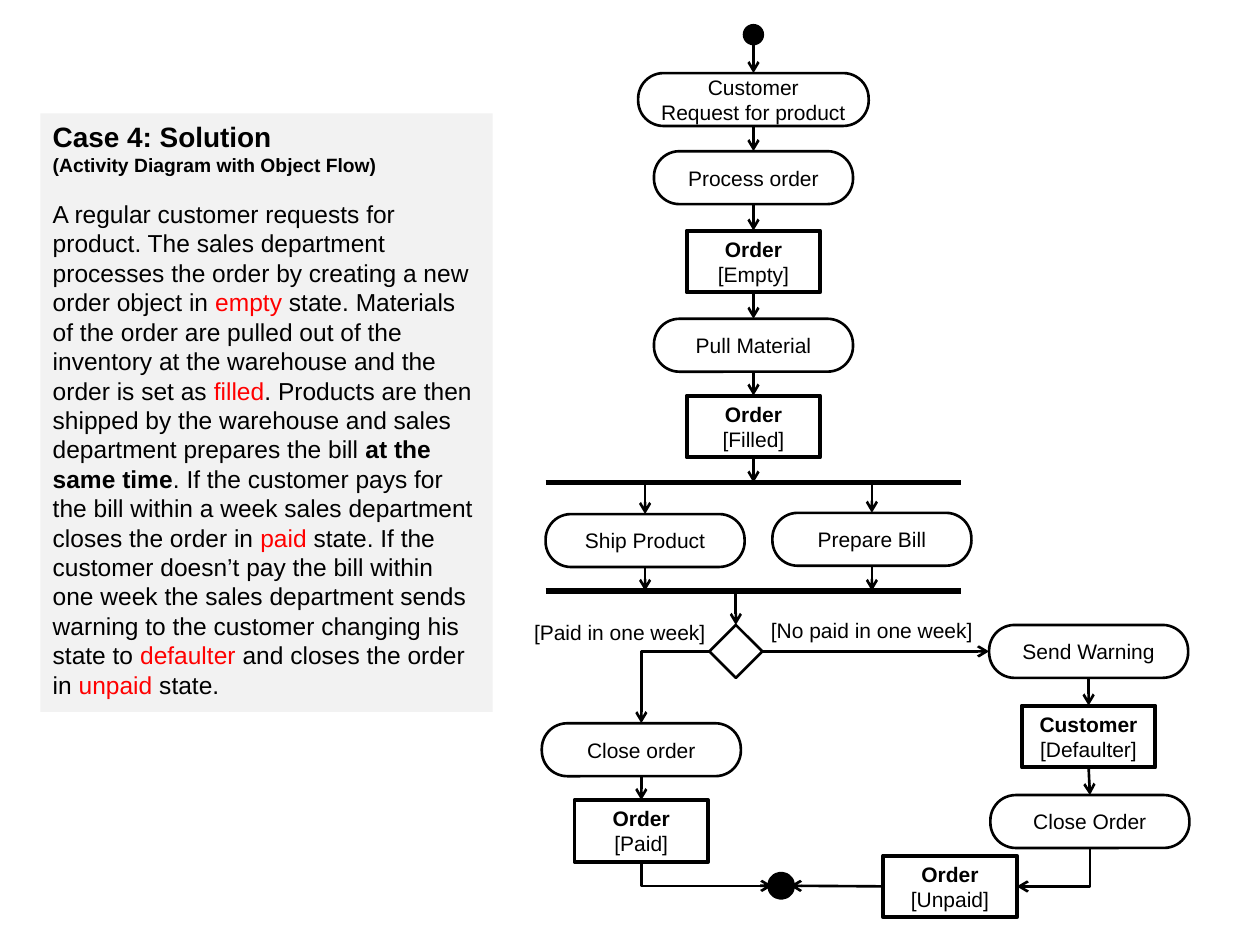
from dataclasses import dataclass

from lxml import etree
from pptx import Presentation
from pptx.dml.color import RGBColor
from pptx.enum.shapes import MSO_CONNECTOR as Link, MSO_SHAPE as Shape
from pptx.enum.text import MSO_ANCHOR as Anchor, MSO_AUTO_SIZE as AutoSize, PP_ALIGN as Align
from pptx.oxml.ns import qn
from pptx.util import Inches, Pt


@dataclass(frozen=True)
class Theme:
    font = "Arial"
    ink = RGBColor(0, 0, 0)
    state = RGBColor(0xFF, 0, 0)
    panel = RGBColor(0xF2, 0xF2, 0xF2)
    title = Pt(16)
    subtitle = Pt(11)
    body = Pt(14)
    label = Pt(12)
    thin = Pt(1.5)
    frame = Pt(2.25)
    bar = Pt(3)
    ring = Pt(6)


theme = Theme()
TOP, LEFT, BOTTOM, RIGHT = range(4)
MAIN_X, SHIP_X, BILL_X = 5.98, 5.12, 6.92
DECISION_X, PAID_X, WARNING_X = 5.84, 5.09, 8.64
FORK_Y, JOIN_Y, DECISION_Y, END_Y = 3.83, 4.69, 5.17, 7.03

prs = Presentation()
prs.slide_width, prs.slide_height = Inches(10), Inches(7.5)
slide = prs.slides.add_slide(prs.slide_layouts[6])
nodes = {}


def outline(kind, center_x, top, width, height, weight):
    """Add an unfilled shape centred on center_x."""
    shape = slide.shapes.add_shape(
        kind, Inches(center_x - width / 2), Inches(top), Inches(width), Inches(height))
    shape.shadow.inherit = False
    shape.fill.background()
    shape.line.color.rgb = theme.ink
    shape.line.width = weight
    return shape


def connect(begin, end, kind=Link.STRAIGHT, weight=theme.thin, arrow=True):
    """Join two ends, each a (node name, side) pair or an (x, y) point."""
    line = slide.shapes.add_connector(kind, 0, 0, 0, 0)
    if begin[0] in nodes:
        line.begin_connect(nodes[begin[0]], begin[1])
    else:
        line.begin_x, line.begin_y = map(Inches, begin)
    if end[0] in nodes:
        line.end_connect(nodes[end[0]], end[1])
    else:
        line.end_x, line.end_y = map(Inches, end)
    line.line.color.rgb = theme.ink
    line.line.width = weight
    if arrow:
        etree.SubElement(line.line._get_or_add_ln(), qn("a:tailEnd"), type="arrow")
    etree.SubElement(line._element.spPr, qn("a:effectLst"))
    return line


# Case description
case = slide.shapes.add_shape(
    Shape.RECTANGLE, Inches(0.32), Inches(0.9), Inches(3.59), Inches(4.75))
case.shadow.inherit = False
case.fill.solid()
case.fill.fore_color.rgb = theme.panel
case.line.fill.background()
case_text = case.text_frame
case_text.word_wrap = True
case_text.auto_size = AutoSize.SHAPE_TO_FIT_TEXT
case_text.vertical_anchor = Anchor.TOP
case_text.text = "Case 4: Solution\n(Activity Diagram with Object Flow)"
story = case_text.add_paragraph()
story.space_before = Pt(13)
for passage, emphasis in [
    ("A regular customer requests for product. The sales department processes the order "
     "by creating a new order object in ", None),
    ("empty", "state"),
    (" state. Materials of the order are pulled out of the inventory at the warehouse "
     "and the order is set as ", None),
    ("filled", "state"),
    (". Products are then shipped by the warehouse and sales department prepares the bill ", None),
    ("at the same time", "bold"),
    (". If the customer pays for the bill within a week sales department closes the order in ",
     None),
    ("paid", "state"),
    (" state. If the customer doesn’t pay the bill within one week the sales department sends "
     "warning to the customer changing his state to ", None),
    ("defaulter", "state"),
    (" and closes the order in ", None),
    ("unpaid", "state"),
    (" state.", None),
]:
    run = story.add_run()
    run.text = passage
    run.font.bold = emphasis == "bold"
    run.font.color.rgb = theme.state if emphasis == "state" else theme.ink
for paragraph, size in zip(case_text.paragraphs, (theme.title, theme.subtitle, theme.body)):
    paragraph.alignment = Align.LEFT
    for run in paragraph.runs:
        run.font.name, run.font.size = theme.font, size
        if paragraph.space_before is None:
            run.font.bold = True
            run.font.color.rgb = theme.ink

# Actions and object states
for name, text, center_x, top, width in [
    ("request", "Customer\nRequest for product", MAIN_X, 0.58, 1.83),
    ("process", "Process order", MAIN_X, 1.2, 1.58),
    ("pull", "Pull Material", MAIN_X, 2.53, 1.58),
    ("ship", "Ship Product", SHIP_X, 4.08, 1.58),
    ("bill", "Prepare Bill", BILL_X, 4.07, 1.58),
    ("close paid", "Close order", PAID_X, 5.74, 1.58),
    ("warn", "Send Warning", WARNING_X, 4.96, 1.58),
    ("close unpaid", "Close Order", 8.65, 6.31, 1.58),
]:
    nodes[name] = outline(Shape.ROUNDED_RECTANGLE, center_x, top, width, 0.42, theme.thin)
    nodes[name].adjustments[0] = 0.48
    nodes[name].text_frame.text = text

objects = [
    ("empty", "Order\n[Empty]", MAIN_X, 1.83),
    ("filled", "Order\n[Filled]", MAIN_X, 3.14),
    ("paid", "Order\n[Paid]", PAID_X, 6.35),
    ("defaulter", "Customer\n[Defaulter]", WARNING_X, 5.6),
    ("unpaid", "Order\n[Unpaid]", 7.54, 6.79),
]
for name, text, center_x, top in objects:
    nodes[name] = outline(Shape.RECTANGLE, center_x, top, 1.06, 0.49, theme.frame)
    nodes[name].text_frame.text = text

for node in nodes.values():
    node.text_frame.word_wrap = True
    node.text_frame.vertical_anchor = Anchor.MIDDLE
    for paragraph in node.text_frame.paragraphs:
        paragraph.alignment = Align.CENTER
        for run in paragraph.runs:
            run.font.name, run.font.size = theme.font, theme.label
            run.font.color.rgb = theme.ink
for name, *_ in objects:
    nodes[name].text_frame.paragraphs[0].runs[0].font.bold = True

# Start, decision and end
nodes["decision"] = outline(Shape.DIAMOND, DECISION_X, 4.96, 0.42, 0.42, theme.thin)
start = outline(Shape.OVAL, MAIN_X, 0.19, 0.17, 0.17, theme.thin)
start.line.fill.background()
finish = outline(Shape.OVAL, 6.2, 6.96, 0.14, 0.14, theme.ring)
for dot in (start, finish):
    dot.fill.solid()
    dot.fill.fore_color.rgb = theme.ink

for guard, left, top, width in [
    ("[Paid in one week]", 4.14, 4.87, 1.67),
    ("[No paid in one week]", 6.02, 4.85, 1.8),
]:
    condition = slide.shapes.add_textbox(Inches(left), Inches(top), Inches(width), Inches(0.3))
    condition.text_frame.word_wrap = True
    condition.text_frame.text = guard
    font = condition.text_frame.paragraphs[0].runs[0].font
    font.name, font.size, font.color.rgb = theme.font, theme.label, theme.ink

# Fork and join bars, then the flow
for bar_y in (FORK_Y, JOIN_Y):
    connect((4.33, bar_y), (7.63, bar_y), weight=theme.bar, arrow=False)

main_flow = ["request", "process", "empty", "pull", "filled"]
warning_flow = ["warn", "defaulter", "close unpaid"]
for flow in (main_flow, warning_flow, ["close paid", "paid"]):
    for source, target in zip(flow, flow[1:]):
        connect((source, BOTTOM), (target, TOP))
for name, center_x in (("ship", SHIP_X), ("bill", BILL_X)):
    connect((center_x, FORK_Y), (name, TOP))
    connect((name, BOTTOM), (center_x, JOIN_Y))
connect((MAIN_X, 0.35), ("request", TOP))
connect(("filled", BOTTOM), (MAIN_X, FORK_Y))
connect((DECISION_X, JOIN_Y), ("decision", TOP))
connect(("decision", RIGHT), ("warn", LEFT))
connect(("unpaid", LEFT), (6.27, END_Y))

# One-corner elbows: a quarter-turned one swaps width and height about its centre
for begin, end, degrees, flip in [
    (("decision", LEFT), ("close paid", TOP), 180, "flipV"),
    (("paid", BOTTOM), (6.13, END_Y), 270, "flipH"),
    (("close unpaid", BOTTOM), ("unpaid", RIGHT), 90, None),
]:
    elbow = connect(begin, end, Link.ELBOW)
    if degrees != 180:
        shift = (elbow.width - elbow.height) // 2
        elbow.left, elbow.top = elbow.left + shift, elbow.top - shift
        elbow.width, elbow.height = elbow.height, elbow.width
    xfrm = elbow._element.spPr.find(qn("a:xfrm"))
    for side in ("flipH", "flipV"):
        xfrm.attrib.pop(side, None)
    xfrm.set("rot", str(degrees * 60000))
    if flip:
        xfrm.set(flip, "1")
    elbow._element.spPr.find(qn("a:prstGeom")).set("prst", "bentConnector2")

prs.save("out.pptx")
